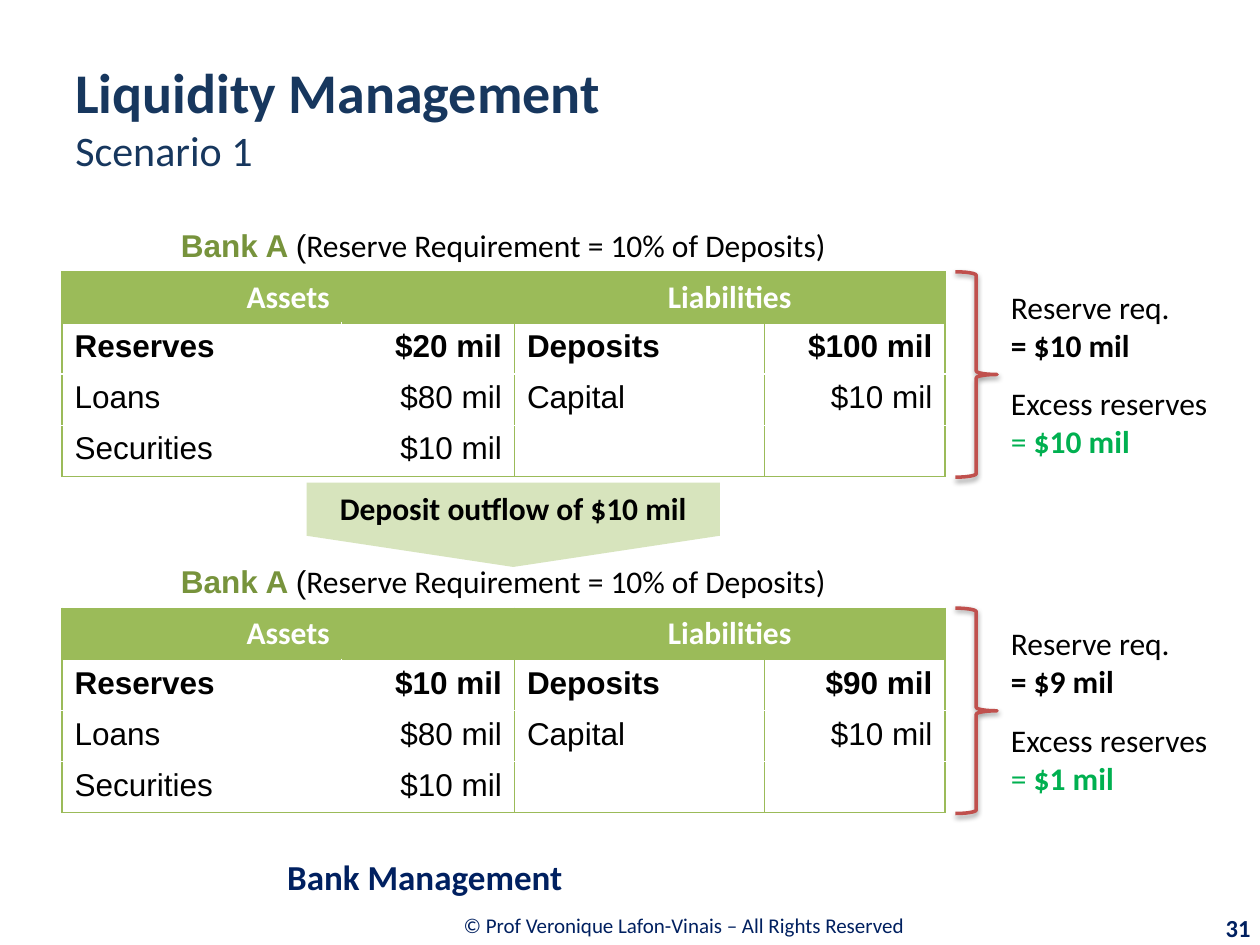
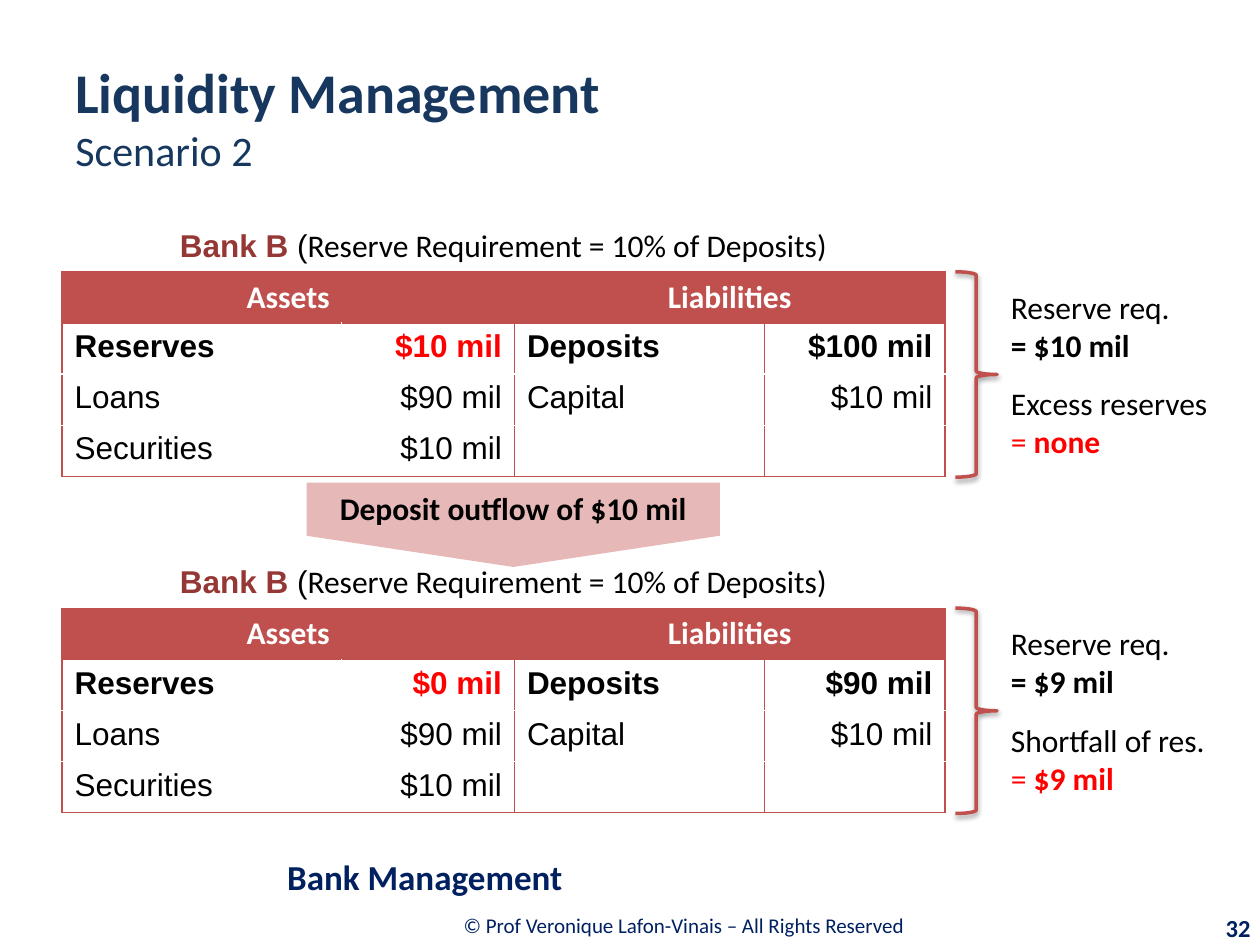
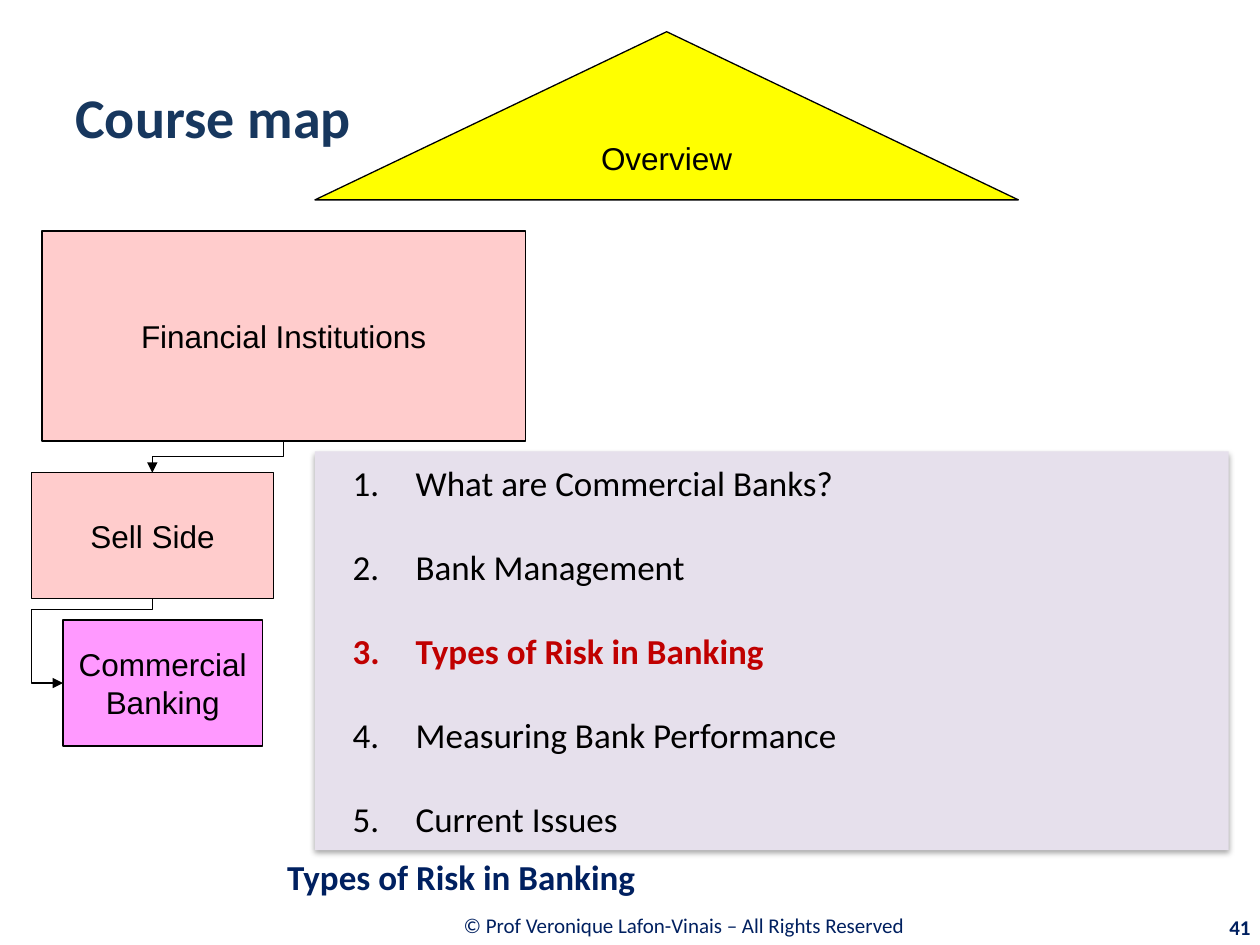
import dataclasses

import lxml.etree
import pptx
import pptx.dml.color
import pptx.enum.dml
import pptx.enum.shapes
import pptx.enum.text
import pptx.oxml.ns
import pptx.util

Cm = pptx.util.Cm
Pt = pptx.util.Pt
qn = pptx.oxml.ns.qn
SHAPE = pptx.enum.shapes.MSO_SHAPE
ANCHOR = pptx.enum.text.MSO_ANCHOR
ALIGN = pptx.enum.text.PP_ALIGN


@dataclasses.dataclass(frozen=True)
class Theme:
    sans: str = "Calibri"
    plain: str = "Arial"
    title: str = "17375E"
    navy: str = "002060"
    black: str = "000000"
    white: str = "FFFFFF"
    brace: str = "C0504D"
    good: str = "00B050"
    bad: str = "FF0000"
    current: str = "C00000"
    pink: str = "FFCCCC"
    magenta: str = "FF99FF"
    yellow: str = "FFFF00"
    lilac: str = "E6E0EC"
    title_size: int = 32
    subtitle_size: int = 24
    section_size: int = 20
    body_size: int = 18
    number_size: int = 14
    small_size: int = 12


@dataclasses.dataclass(frozen=True)
class Bank:
    name: str
    accent: str
    dark: str
    pale: str


@dataclasses.dataclass(frozen=True)
class Box:
    x: float
    y: float
    w: float
    h: float

    def emu(self):
        return [Cm(v) for v in (self.x, self.y, self.w, self.h)]

    def inner(self, dx, dy, w, h):
        return Box(self.x + dx, self.y + dy, w, h)


T = Theme()
GREEN_BANK = Bank("Bank A", "9BBB59", "77933C", "D7E4BD")
RED_BANK = Bank("Bank B", "C0504D", "953735", "E6B9B8")
PAGE = Box(0, 0, 25.4, 19.05)
COLUMN_WIDTHS = (5.64, 3.48, 5.05, 3.63)
ROW_HEIGHT = 1.03


def rgb(value):
    return pptx.dml.color.RGBColor.from_string(value)


def add_text(p, text, font=T.sans, size=T.body_size, color=T.black, bold=False,
             align=ALIGN.LEFT, before=None, spacing=None):
    p.alignment = align
    if before is not None:
        p.space_before = Pt(before)
    if spacing is not None:
        p.line_spacing = spacing
    r = p.add_run()
    r.text = text
    r.font.name = font
    r.font.size = Pt(size)
    r.font.bold = bold
    r.font.color.rgb = rgb(color)


def text_box(s, box, anchor=ANCHOR.MIDDLE):
    tf = s.shapes.add_textbox(*box.emu()).text_frame
    tf.word_wrap = True
    tf.vertical_anchor = anchor
    return tf


def add_shape(s, kind, box, fill=None, line=None, weight=0.75):
    sp = s.shapes.add_shape(kind, *box.emu())
    sp.shadow.inherit = False
    if fill:
        sp.fill.solid()
        sp.fill.fore_color.rgb = rgb(fill)
    else:
        sp.fill.background()
    if line:
        sp.line.color.rgb = rgb(line)
        sp.line.width = Pt(weight)
    else:
        sp.line.fill.background()
    return sp


def drop_shadow(sp, distance, opacity):
    effects = sp._element.spPr.find(qn("a:effectLst"))
    shadow = lxml.etree.SubElement(
        effects, qn("a:outerShdw"), blurRad=str(Pt(3.1)), dist=str(Pt(distance)),
        dir="5400000", rotWithShape="0")
    color = lxml.etree.SubElement(shadow, qn("a:srgbClr"), val=T.black)
    lxml.etree.SubElement(color, qn("a:alpha"), val=str(opacity * 1000))


def frame_slide(prs, title, section, number, subtitle=None, number_size=T.number_size):
    s = prs.slides.add_slide(prs.slide_layouts[6])
    p = text_box(s, PAGE.inner(5.56, 18.16, 16.46, 0.99)).paragraphs[0]
    add_text(p, "© Prof Veronique Lafon-Vinais – All Rights Reserved",
             size=T.small_size, color=T.navy, align=ALIGN.CENTER)
    p = text_box(s, PAGE.inner(1.27, 0.76, 22.86, 3.18)).paragraphs[0]
    add_text(p, title, size=T.title_size, color=T.title, bold=True)
    if subtitle:
        p.add_line_break()
        add_text(p, subtitle, size=T.subtitle_size, color=T.title)
    p = text_box(s, PAGE.inner(22.89, 18.29, 2.57, 0.81)).paragraphs[0]
    add_text(p, number, size=number_size, color=T.navy, bold=True, align=ALIGN.RIGHT)
    p = text_box(s, PAGE.inner(5.54, 17.07, 19.86, 1.19)).paragraphs[0]
    add_text(p, section, size=T.section_size, color=T.navy, bold=True)
    return s


def format_cell(cell, fill, left, right, top, bottom):
    tcPr = cell._tc.get_or_add_tcPr()
    for side, color in zip("LRTB", (left, right, top, bottom)):
        ln = lxml.etree.SubElement(tcPr, qn("a:ln" + side), w=str(Pt(0.75)))
        solid = lxml.etree.SubElement(ln, qn("a:solidFill"))
        lxml.etree.SubElement(solid, qn("a:srgbClr"), val=color)
    cell.fill.solid()
    cell.fill.fore_color.rgb = rgb(fill)


def balance_sheet(s, box, bank, rows, reserve_color):
    table = s.shapes.add_table(len(rows) + 2, len(COLUMN_WIDTHS), *box.emu()).table
    table.first_row = table.horz_banding = False
    for column, width in zip(table.columns, COLUMN_WIDTHS):
        column.width = Cm(width)
    for row in table.rows:
        row.height = Cm(ROW_HEIGHT)

    accent, white = bank.accent, T.white
    last = len(rows) + 1
    for i in range(last + 1):
        for j in range(len(COLUMN_WIDTHS)):
            cell = table.cell(i, j)
            if i == 0:
                format_cell(cell, white, white, white, white, accent)
            elif i == 1:
                format_cell(cell, accent, accent, accent, accent, accent)
            else:
                format_cell(cell, white, white if j == 1 else accent,
                            white if j == 0 else accent,
                            accent if i == 2 else white,
                            accent if i == last else white)

    table.cell(0, 0).merge(table.cell(0, 3))
    p = table.cell(0, 0).text_frame.paragraphs[0]
    add_text(p, bank.name + " ", font=T.plain, color=bank.dark, bold=True, align=ALIGN.CENTER)
    add_text(p, "(", font=T.plain, align=ALIGN.CENTER)
    add_text(p, "Reserve Requirement = 10% of Deposits)", align=ALIGN.CENTER)
    for j, heading in ((0, "Assets"), (2, "Liabilities")):
        table.cell(1, j).merge(table.cell(1, j + 1))
        add_text(table.cell(1, j).text_frame.paragraphs[0], heading,
                 color=white, bold=True, align=ALIGN.CENTER)
    for i, row in enumerate(rows):
        for j, text in enumerate(row):
            add_text(table.cell(i + 2, j).text_frame.paragraphs[0], text, font=T.plain,
                     color=reserve_color if (i, j) == (0, 1) else T.black,
                     bold=i == 0, align=ALIGN.RIGHT if j % 2 else ALIGN.LEFT)


def reserve_note(s, box, required, label, amount, color):
    tf = text_box(s, box, ANCHOR.TOP)
    add_text(tf.paragraphs[0], "Reserve req.")
    add_text(tf.add_paragraph(), "= " + required, bold=True)
    add_text(tf.add_paragraph(), label, before=12)
    p = tf.add_paragraph()
    add_text(p, "= ", color=color)
    add_text(p, amount, color=color, bold=True)


def bank_position(s, box, bank, rows, note, reserve_color, note_color):
    balance_sheet(s, box.inner(0, 0, sum(COLUMN_WIDTHS), box.h), bank, rows, reserve_color)
    brace = add_shape(s, SHAPE.RIGHT_BRACE, box.inner(18.01, 1.03, 0.84, 4.14),
                      line=T.brace, weight=2)
    drop_shadow(brace, 1.6, 38)
    reserve_note(s, box.inner(18.88, 1.23, 4.8, 3.76), *note, note_color)


def outflow_arrow(s, box, fill):
    upright = Box(box.x + (box.w - box.h) / 2, box.y + (box.h - box.w) / 2, box.h, box.w)
    sp = add_shape(s, SHAPE.PENTAGON, upright, fill)
    sp.adjustments[0] = 0.37
    sp.rotation = 90
    tf = sp.text_frame
    tf.vertical_anchor = ANCHOR.TOP
    tf._txBody.bodyPr.set("vert", "vert270")
    add_text(tf.paragraphs[0], "Deposit outflow of $10 mil", bold=True, align=ALIGN.CENTER)


def scenario_slide(prs, number, scenario, bank, states, reserve_color, note_color):
    s = frame_slide(prs, "Liquidity Management", "Bank Management", number, scenario)
    for k, (reserves, loans, deposits, note) in enumerate(states):
        rows = (("Reserves", reserves, "Deposits", deposits),
                ("Loans", loans, "Capital", "$10 mil"),
                ("Securities", "$10 mil"))
        box = PAGE.inner(1.25, 4.45 + k * 6.78, 22.9, 5 * ROW_HEIGHT)
        bank_position(s, box, bank, rows, note, reserve_color, note_color)
    outflow_arrow(s, PAGE.inner(6.18, 9.73, 8.33, 1.7), bank.pale)


def map_node(s, box, text, fill, kind=SHAPE.RECTANGLE, wrap=False):
    sp = add_shape(s, kind, box, fill, T.black)
    tf = sp.text_frame
    tf.word_wrap = wrap
    tf.vertical_anchor = ANCHOR.MIDDLE
    add_text(tf.paragraphs[0], text, font=T.plain, align=ALIGN.CENTER)


def elbow_arrow(s, begin, end, preset, adjustments):
    (x1, y1), (x2, y2) = begin, end
    cx, cy = (x1 + x2) / 2, (y1 + y2) / 2
    half_w, half_h = (y2 - y1) / 2, (x1 - x2) / 2
    c = s.shapes.add_connector(
        pptx.enum.shapes.MSO_CONNECTOR.ELBOW, Cm(cx - half_w), Cm(cy - half_h),
        Cm(cx + half_w), Cm(cy + half_h))
    c.line.color.rgb = rgb(T.black)
    c.line.width = Pt(0.75)
    spPr = c._element.spPr
    spPr.find(qn("a:xfrm")).set("rot", "5400000")
    geometry = spPr.find(qn("a:prstGeom"))
    geometry.set("prst", preset)
    guides = geometry.find(qn("a:avLst"))
    for i, value in enumerate(adjustments, 1):
        lxml.etree.SubElement(guides, qn("a:gd"), name=f"adj{i}", fmla=f"val {value}")
    lxml.etree.SubElement(spPr.find(qn("a:ln")), qn("a:tailEnd"), type="triangle")
    lxml.etree.SubElement(spPr, qn("a:effectLst"))


def topic_list(s, box, topics, current):
    sp = add_shape(s, SHAPE.RECTANGLE, box, T.lilac)
    drop_shadow(sp, 1.8, 35)
    tf = sp.text_frame
    tf.vertical_anchor = ANCHOR.MIDDLE
    for i, topic in enumerate(topics):
        p = tf.add_paragraph() if i else tf.paragraphs[0]
        pPr = p._p.get_or_add_pPr()
        pPr.set("marL", str(Cm(1.78)))
        pPr.set("indent", str(Cm(-1.27)))
        lxml.etree.SubElement(pPr, qn("a:buFont"), typeface="+mj-lt")
        lxml.etree.SubElement(pPr, qn("a:buAutoNum"), type="arabicPeriod")
        active = topic == current
        add_text(p, topic, size=T.section_size, color=T.current if active else T.black,
                 bold=active, spacing=2.0 if i else None)


def course_map_slide(prs, number):
    current = "Types of Risk in Banking"
    s = frame_slide(prs, "Course map", current, number, number_size=T.small_size)
    map_node(s, PAGE.inner(0.64, 9.53, 4.87, 2.54), "Sell Side", T.pink)
    elbow_arrow(s, (5.72, 8.89), (3.07, 9.53), "bentConnector3", [50000])
    map_node(s, PAGE.inner(1.27, 12.5, 4.02, 2.54), "Commercial Banking", T.magenta, wrap=True)
    elbow_arrow(s, (3.07, 12.07), (1.27, 13.77), "bentConnector4", [12500, 135300])
    map_node(s, PAGE.inner(0.85, 4.66, 9.74, 4.23), "Financial Institutions", T.pink)
    map_node(s, PAGE.inner(6.35, 0.64, 14.18, 3.39), "Overview", T.yellow,
             SHAPE.FLOWCHART_EXTRACT)
    topic_list(s, PAGE.inner(6.35, 9.1, 18.42, 8.04),
               ("What are Commercial Banks?", "Bank Management", current,
                "Measuring Bank Performance", "Current Issues"), current)


def main():
    prs = pptx.Presentation()
    prs.slide_width, prs.slide_height = Cm(PAGE.w), Cm(PAGE.h)
    scenario_slide(prs, "31", "Scenario 1", GREEN_BANK, (
        ("$20 mil", "$80 mil", "$100 mil", ("$10 mil", "Excess reserves", "$10 mil")),
        ("$10 mil", "$80 mil", "$90 mil", ("$9 mil", "Excess reserves", "$1 mil")),
    ), T.black, T.good)
    scenario_slide(prs, "32", "Scenario 2", RED_BANK, (
        ("$10 mil", "$90 mil", "$100 mil", ("$10 mil", "Excess reserves", "none")),
        ("$0 mil", "$90 mil", "$90 mil", ("$9 mil", "Shortfall of res.", "$9 mil")),
    ), T.bad, T.bad)
    course_map_slide(prs, "41")
    prs.save("out.pptx")


if __name__ == "__main__":
    main()
